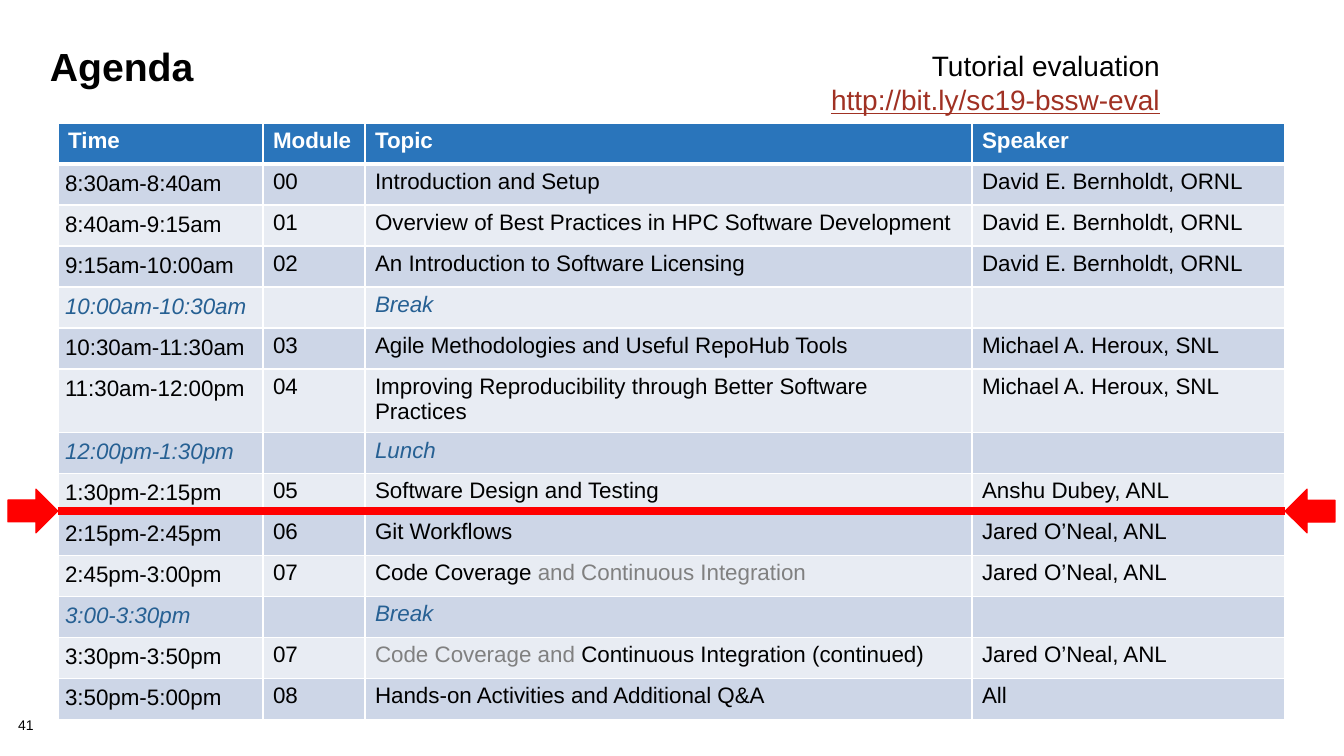
import pptx
import pptx.dml.color
import pptx.enum.shapes
import pptx.enum.text
import pptx.oxml
import pptx.oxml.ns
import pptx.util

PIXEL = 914400 / 100.8
BLACK, WHITE, RED = "000000", "FFFFFF", "FF0000"
BLUE, BREAK_BLUE, GREY, LINK = "2A75BB", "266093", "808080", "A03123"
BANDS = ("CDD6E7", "E8ECF3")

HEADINGS = ("Time", "Module", "Topic", "Speaker")
COLUMN_WIDTHS = (205, 102, 607, 313)
ROW_HEIGHT = 41
DAVID = "David E. Bernholdt, ORNL"
MICHAEL = "Michael A. Heroux, SNL"
JARED = "Jared O’Neal, ANL"
# A topic is plain text or a list of (text, colour) runs; a row without a module is a break
SESSIONS = (
    ("8:30am-8:40am", "00", "Introduction and Setup", DAVID),
    ("8:40am-9:15am", "01", "Overview of Best Practices in HPC Software Development", DAVID),
    ("9:15am-10:00am", "02", "An Introduction to Software Licensing", DAVID),
    ("10:00am-10:30am", "", "Break", ""),
    ("10:30am-11:30am", "03", "Agile Methodologies and Useful RepoHub Tools", MICHAEL),
    ("11:30am-12:00pm", "04", "Improving Reproducibility through Better Software Practices", MICHAEL),
    ("12:00pm-1:30pm", "", "Lunch", ""),
    ("1:30pm-2:15pm", "05", "Software Design and Testing", "Anshu Dubey, ANL"),
    ("2:15pm-2:45pm", "06", "Git Workflows", JARED),
    ("2:45pm-3:00pm", "07",
     [("Code Coverage ", BLACK), ("and Continuous Integration", GREY)], JARED),
    ("3:00-3:30pm", "", "Break", ""),
    ("3:30pm-3:50pm", "07",
     [("Code Coverage and ", GREY), ("Continuous Integration (continued)", BLACK)], JARED),
    ("3:50pm-5:00pm", "08", "Hands-on Activities and Additional Q&A", "All"),
)


def px(length):
    return pptx.util.Emu(round(length * PIXEL))


def color(value):
    return pptx.dml.color.RGBColor.from_string(value)


class SlideBuilder:
    font_name = "Arial"

    def __init__(self, presentation):
        self.slide = presentation.slides.add_slide(presentation.slide_layouts[6])

    def run(self, paragraph, text, size, text_color, bold=False, italic=False, underline=False):
        run = paragraph.add_run()
        run.text = text
        font = run.font
        font.name, font.size = self.font_name, pptx.util.Pt(size)
        font.bold, font.italic, font.underline = bold, italic, underline
        font.color.rgb = color(text_color)

    def text_box(self, left, top, width, height, inset=None, line_spacing=None):
        """Add an empty text box and return its first paragraph."""
        frame = self.slide.shapes.add_textbox(px(left), px(top), px(width), px(height)).text_frame
        frame.word_wrap = True
        if inset is not None:
            frame.margin_left = frame.margin_right = px(inset)
            frame.margin_top = frame.margin_bottom = px(inset)
        paragraph = frame.paragraphs[0]
        paragraph.line_spacing = line_spacing
        return paragraph

    def table(self, left, top, widths, row_count, row_height):
        frame = self.slide.shapes.add_table(row_count, len(widths), px(left), px(top),
                                            px(sum(widths)), px(row_height * row_count))
        table = frame.table
        for column, width in zip(table.columns, widths):
            column.width = px(width)
        for row in table.rows:
            row.height = px(row_height)
        return table

    def cell(self, cell, runs, fill, bold=False, italic=False, inset=None, top=1, bottom=1):
        cell.fill.solid()
        cell.fill.fore_color.rgb = color(fill)
        if inset is not None:
            cell.margin_left = cell.margin_right = px(inset)
            cell.margin_top = cell.margin_bottom = px(inset)
        for text, text_color in runs:
            self.run(cell.text_frame.paragraphs[0], text, 16, text_color, bold, italic)
        # White borders, which come before the fill in the cell properties
        properties = cell._tc.get_or_add_tcPr()
        for index, (side, width) in enumerate((("L", 1), ("R", 1), ("T", top), ("B", bottom))):
            border = pptx.oxml.parse_xml(
                f'<a:ln{side} {pptx.oxml.ns.nsdecls("a")} w="{pptx.util.Pt(width)}">'
                f'<a:solidFill><a:srgbClr val="{WHITE}"/></a:solidFill></a:ln{side}>')
            properties.insert(index, border)

    def line(self, start_x, start_y, end_x, end_y, line_color, width):
        connector = self.slide.shapes.add_connector(
            pptx.enum.shapes.MSO_CONNECTOR.STRAIGHT,
            px(start_x), px(start_y), px(end_x), px(end_y))
        connector.line.color.rgb = color(line_color)
        connector.line.width = pptx.util.Pt(width)
        connector._element.spPr.append(
            pptx.oxml.parse_xml(f'<a:effectLst {pptx.oxml.ns.nsdecls("a")}/>'))

    def arrow(self, left, top, width, height, fill, rotation=0):
        shape = self.slide.shapes.add_shape(pptx.enum.shapes.MSO_SHAPE.RIGHT_ARROW,
                                            px(left), px(top), px(width), px(height))
        shape.shadow.inherit = False
        shape.fill.solid()
        shape.fill.fore_color.rgb = shape.line.color.rgb = color(fill)
        shape.line.width = pptx.util.Pt(0.75)
        shape.rotation = rotation


def main():
    presentation = pptx.Presentation()
    presentation.slide_width, presentation.slide_height = px(1344), px(756)
    builder = SlideBuilder(presentation)

    # Page number and title
    builder.run(builder.text_box(18, 718, 56, 16, inset=0, line_spacing=0.9), "41", 10, BLACK)
    builder.run(builder.text_box(40, 45, 700, 50, line_spacing=0.85), "Agenda", 28, BLACK, bold=True)

    # Agenda table
    left, top = 58, 123
    right = left + sum(COLUMN_WIDTHS)
    table = builder.table(left, top, COLUMN_WIDTHS, len(SESSIONS) + 1, ROW_HEIGHT)
    for column, heading in enumerate(HEADINGS):
        builder.cell(table.cell(0, column), [(heading, WHITE)], BLUE, bold=True, bottom=3)
    for row, session in enumerate(SESSIONS, start=1):
        is_break = not session[1]
        for column, content in enumerate(session):
            if isinstance(content, str):
                content = [(content, BREAK_BLUE if is_break else BLACK)] if content else []
            builder.cell(table.cell(row, column), content, BANDS[(row - 1) % 2],
                         italic=is_break, inset=7 if column == 0 else None,
                         top=3 if row == 1 else 1)

    # Marker for the current point in the day
    marker_y, arrow_width, arrow_height = 511, 50, 44
    arrow_top = marker_y - arrow_height // 2
    builder.line(left, marker_y, right, marker_y, RED, 6)
    builder.arrow(left - arrow_width, arrow_top, arrow_width, arrow_height, RED)
    builder.arrow(right, arrow_top, arrow_width, arrow_height, RED, rotation=180)

    # Evaluation address
    evaluation = builder.text_box(810, 44, 360, 78)
    evaluation.alignment = pptx.enum.text.PP_ALIGN.RIGHT
    builder.run(evaluation, "Tutorial evaluation", 20, BLACK)
    evaluation.add_line_break()
    builder.run(evaluation, "http://bit.ly/sc19-bssw-eval", 20, LINK, underline=True)

    presentation.save("out.pptx")


if __name__ == "__main__":
    main()
